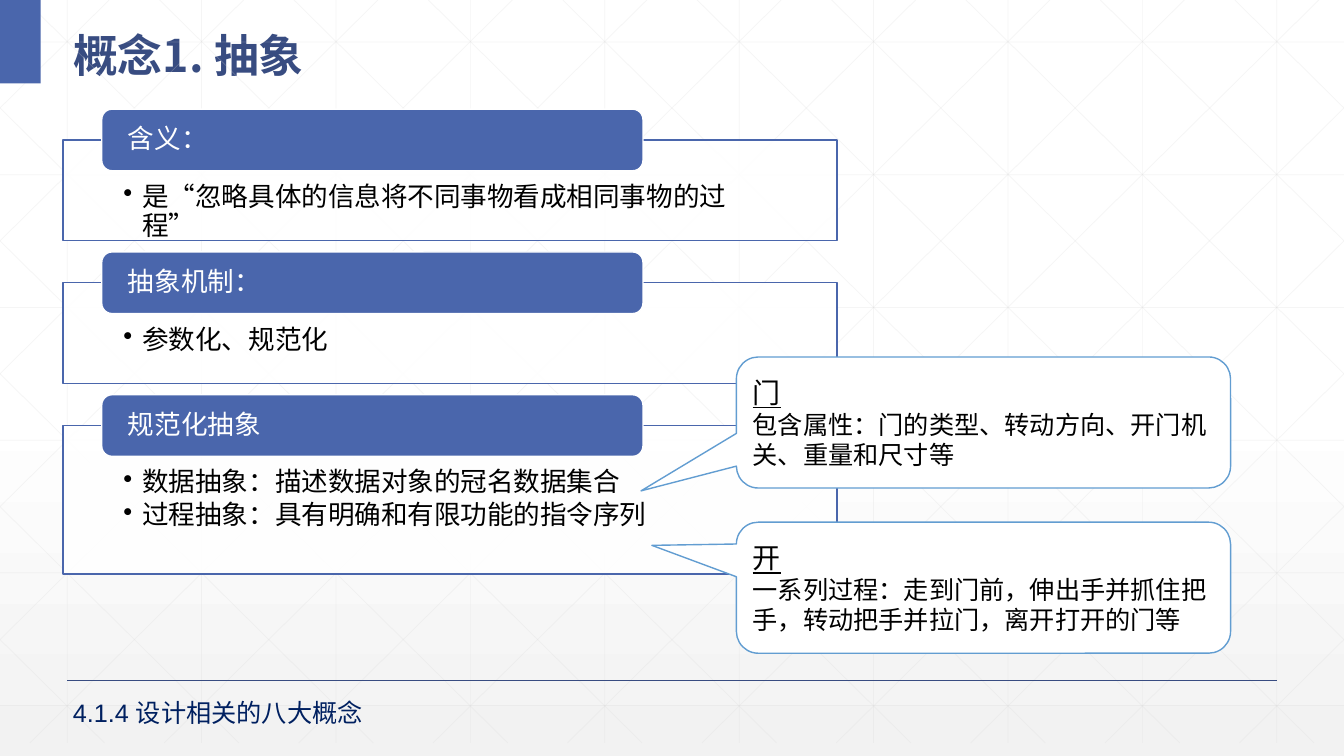
from lxml import etree
from pptx import Presentation
from pptx.dml.color import RGBColor
from pptx.enum.lang import MSO_LANGUAGE_ID as Lang
from pptx.enum.shapes import MSO_CONNECTOR as Connector, MSO_SHAPE as Shape
from pptx.enum.text import MSO_ANCHOR as Anchor, MSO_AUTO_SIZE as AutoSize, PP_ALIGN as Align
from pptx.oxml.ns import qn
from pptx.util import Pt

NAVY = RGBColor(0x38, 0x4C, 0x81)
BLUE = RGBColor(0x4A, 0x66, 0xAC)
SKY = RGBColor(0x62, 0x9D, 0xD1)
FOOTER_BLUE = RGBColor(0x00, 0x20, 0x60)
WHITE = RGBColor(0xFF, 0xFF, 0xFF)
BLACK = RGBColor(0x00, 0x00, 0x00)
PALE = RGBColor(0xF2, 0xF2, 0xF2)
GRID = RGBColor(0xD9, 0xD9, 0xD9)

SLIDE_W, SLIDE_H = 960, 540
GRID_H = 530.6
DIAGONAL_RUN = 536.6
LEFT = 45

PANELS = [
    ("含义：", 72, ["是“忽略具体的信息将不同事物看成相同事物的过程”"]),
    ("抽象机制：", 72, ["参数化、规范化"]),
    ("规范化抽象", 106, ["数据抽象：描述数据对象的冠名数据集合",
                    "过程抽象：具有明确和有限功能的指令序列"]),
]
CALLOUTS = [
    (255, (-0.693, 0.522, 0.167), "门",
     "包含属性：门的类型、转动方向、开门机关、重量和尺寸等"),
    (373, (-0.671, -0.323, 0.167), "开",
     "一系列过程：走到门前，伸出手并抓住把手，转动把手并拉门，离开打开的门等"),
]


def set_opacity(fill_parent, percent):
    """Make the first colour found under the element partly transparent."""
    colour = next(fill_parent.iter(qn("a:srgbClr")))
    etree.SubElement(colour, qn("a:alpha"), val=str(percent * 1000))


def write(frame, text, size=19, color=BLACK, font="Arial", bold=False, underline=False,
          bullet=False, line_spacing=None, after=0):
    """Append one formatted paragraph, using the empty first one if there is one."""
    paragraph = frame.paragraphs[0]
    if paragraph.runs:
        paragraph = frame.add_paragraph()
    paragraph.alignment = Align.LEFT
    paragraph.space_after = Pt(after)
    if line_spacing:
        paragraph.line_spacing = line_spacing
    if bullet:
        properties = paragraph._p.get_or_add_pPr()
        properties.set("marL", str(Pt(13.5)))
        properties.set("indent", str(-Pt(13.5)))
        etree.SubElement(properties, qn("a:buChar"), char="•")
    run = paragraph.add_run()
    run.text = text
    style = run.font
    style.name, style.size, style.bold, style.underline = font, Pt(size), bold, underline
    style.color.rgb = color
    style.language_id = Lang.SIMPLIFIED_CHINESE
    latin = run._r.rPr.find(qn("a:latin"))
    latin.addnext(latin.makeelement(qn("a:ea"), {"typeface": "Noto Sans CJK SC"}))


class ConceptSlide:
    def __init__(self, slide):
        self.slide = slide
        self.shapes = slide.shapes

    def background(self):
        fill = self.slide.background.fill
        fill.gradient()
        fill.gradient_angle = 270
        for stop, color, position in zip(fill.gradient_stops, (WHITE, PALE), (0.53, 1)):
            stop.color.rgb = color
            stop.position = position

    def line(self, x1, y1, x2, y2, color=GRID, width=0.5, opacity=25):
        connector = self.shapes.add_connector(
            Connector.STRAIGHT, Pt(x1), Pt(y1), Pt(x2), Pt(y2))
        connector.line.color.rgb = color
        connector.line.width = Pt(width)
        properties = connector._element.spPr
        if opacity < 100:
            set_opacity(properties, opacity)
        etree.SubElement(properties, qn("a:effectLst"))

    def grid(self):
        for column in range(10):
            x = 48 + 96 * column
            self.line(x, 0, x, GRID_H)
        for row in range(6):
            y = 30 + 94.8 * row
            self.line(0, y, SLIDE_W, y)
        slope = GRID_H / DIAGONAL_RUN
        for step in range(-5, 10):
            top_x = 18 + 96 * step
            x1, x2 = max(top_x, 0), min(top_x + DIAGONAL_RUN, SLIDE_W)
            y1, y2 = (x1 - top_x) * slope, (x2 - top_x) * slope
            self.line(x1, y1, x2, y2)
            self.line(SLIDE_W - x1, y1, SLIDE_W - x2, y2)

    def box(self, kind, x, y, w, h, fill, border=None, anchor=Anchor.MIDDLE,
            insets=(7.2, 3.6, 7.2, 3.6)):
        shape = self.shapes.add_shape(kind, Pt(x), Pt(y), Pt(w), Pt(h))
        shape.shadow.inherit = False
        shape.fill.solid()
        shape.fill.fore_color.rgb = fill
        if border is None:
            shape.line.fill.background()
        else:
            shape.line.color.rgb = border
            shape.line.width = Pt(1)
        frame = shape.text_frame
        frame.word_wrap = True
        frame.vertical_anchor = anchor
        (frame.margin_left, frame.margin_top,
         frame.margin_right, frame.margin_bottom) = map(Pt, insets)
        return shape

    def title(self, text):
        title = self.shapes.title
        title.left, title.top, title.width, title.height = Pt(LEFT), Pt(7), Pt(894), Pt(52.6)
        title.text_frame.vertical_anchor = Anchor.MIDDLE
        title.text_frame.auto_size = AutoSize.NONE
        write(title.text_frame, text, size=32, color=NAVY, font="Noto Sans CJK SC",
              bold=True, line_spacing=1.3)

    def panel(self, y, height, heading, points):
        body = self.box(Shape.RECTANGLE, LEFT, y, 553, height, WHITE, BLUE,
                        Anchor.TOP, (43.2, 31, 43.2, 10.8))
        set_opacity(body._element.spPr, 90)
        for point in points:
            write(body.text_frame, point, bullet=True, line_spacing=0.9, after=3)
        header = self.box(Shape.ROUNDED_RECTANGLE, 72.7, y - 22, 386.6, 44, BLUE, WHITE,
                          insets=(16.6, 0, 16.6, 0))
        write(header.text_frame, heading, color=WHITE, line_spacing=0.9)

    def callout(self, y, adjustments, term, explanation):
        bubble = self.box(Shape.ROUNDED_RECTANGULAR_CALLOUT, 526, y, 353, 93.6, WHITE, SKY)
        for index, value in enumerate(adjustments):
            bubble.adjustments[index] = value
        write(bubble.text_frame, term, size=20, underline=True)
        write(bubble.text_frame, explanation, size=18)

    def footer(self, text):
        self.line(48, 486, 912, 486, NAVY, 1, 100)
        frame = self.shapes.add_textbox(Pt(LEFT), Pt(494.6), Pt(272), Pt(29)).text_frame
        frame.word_wrap = True
        frame.auto_size = AutoSize.SHAPE_TO_FIT_TEXT
        write(frame, text, size=18, color=FOOTER_BLUE)


def main():
    deck = Presentation()
    deck.slide_width, deck.slide_height = Pt(SLIDE_W), Pt(SLIDE_H)
    concept = ConceptSlide(deck.slides.add_slide(deck.slide_layouts[5]))
    concept.background()
    concept.grid()
    concept.box(Shape.RECTANGLE, 0, 0, 29, 59.6, BLUE)
    concept.title("概念1. 抽象")
    y = 100
    for heading, height, points in PANELS:
        concept.panel(y, height, heading, points)
        y += height + 30
    for callout in CALLOUTS:
        concept.callout(*callout)
    concept.footer("4.1.4 设计相关的八大概念")
    deck.save("out.pptx")


if __name__ == "__main__":
    main()
